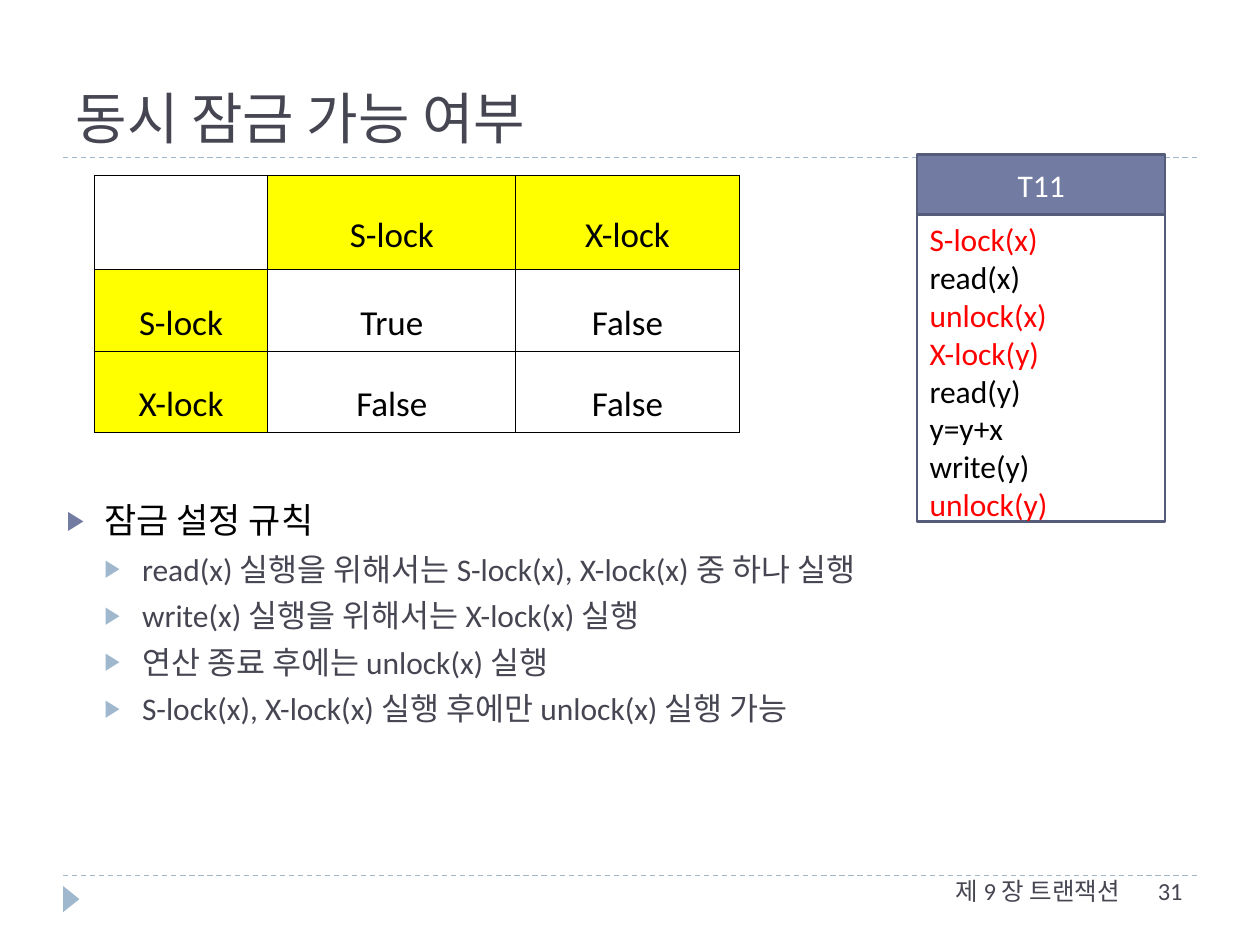
from lxml import etree
from pptx import Presentation
from pptx.dml.color import RGBColor
from pptx.enum import dml, shapes, text
from pptx.oxml import ns
from pptx.util import Cm, Pt

INK = RGBColor(0x46, 0x46, 0x53)
BLACK = RGBColor(0, 0, 0)
WHITE = RGBColor(0xFF, 0xFF, 0xFF)
RED = RGBColor(0xFF, 0, 0)
YELLOW = RGBColor(0xFF, 0xFF, 0)
INDIGO = RGBColor(0x72, 0x7C, 0xA3)
DARK_INDIGO = RGBColor(0x54, 0x5C, 0x79)
PALE_BLUE = RGBColor(0x9F, 0xB8, 0xCD)
LEFT, CENTER, RIGHT = text.PP_ALIGN.LEFT, text.PP_ALIGN.CENTER, text.PP_ALIGN.RIGHT


def write(frame, content, size=18, color=BLACK, font="Calibri", align=LEFT, first=True):
    """Fill the first paragraph of the frame, or append one, and return it."""
    paragraph = frame.paragraphs[0] if first else frame.add_paragraph()
    paragraph.alignment = align
    run = paragraph.add_run()
    run.text = content
    run.font.size = Pt(size)
    run.font.name = font
    run.font.color.rgb = color
    return paragraph


def add_xml(parent, tag, **attributes):
    return etree.SubElement(parent, ns.qn(tag), attributes)


presentation = Presentation()
presentation.slide_width = Cm(25.4)
presentation.slide_height = Cm(19.05)
slide = presentation.slides.add_slide(presentation.slide_layouts[1])

# Rules and page marker
for y in (17.65, 3.18):
    rule = slide.shapes.add_connector(
        shapes.MSO_CONNECTOR.STRAIGHT, Cm(1.27), Cm(y), Cm(24.13), Cm(y))
    rule.line.color.rgb = PALE_BLUE
    rule.line.width = Pt(0.75)
    rule.line.dash_style = dml.MSO_LINE.DASH
    add_xml(rule._element.spPr, "a:effectLst")

marker = slide.shapes.add_shape(
    shapes.MSO_SHAPE.ISOSCELES_TRIANGLE, Cm(1.17), Cm(17.96), Cm(0.53), Cm(0.33))
marker.rotation = 90
marker.shadow.inherit = False
marker.fill.solid()
marker.fill.fore_color.rgb = PALE_BLUE
marker.line.fill.background()

# Title
title = slide.shapes.title
title.left, title.top, title.width, title.height = Cm(1.27), Cm(0.43), Cm(22.86), Cm(2.74)
title.text_frame.vertical_anchor = text.MSO_ANCHOR.BOTTOM
title.text_frame.auto_size = text.MSO_AUTO_SIZE.NONE
write(title.text_frame, "동시 잠금 가능 여부", size=32, color=INK, font="Roboto Slab")

# Lock compatibility table
lock_rows = [
    ["", "S-lock", "X-lock"],
    ["S-lock", "True", "False"],
    ["X-lock", "False", "False"],
]
table = slide.shapes.add_table(3, 3, Cm(1.9), Cm(3.53), Cm(13), Cm(5.17)).table
table.first_row = table.horz_banding = False
for column, width in zip(table.columns, (3.5, 5, 4.5)):
    column.width = Cm(width)
for row, height in zip(table.rows, (1.91, 1.63, 1.63)):
    row.height = Cm(height)
for i, values in enumerate(lock_rows):
    for j, value in enumerate(values):
        cell = table.cell(i, j)
        cell.vertical_anchor = text.MSO_ANCHOR.MIDDLE
        if value:
            write(cell.text_frame, value, size=20, align=CENTER).line_spacing = 1.6
        properties = cell._tc.get_or_add_tcPr()
        for side in ("a:lnL", "a:lnR", "a:lnT", "a:lnB"):
            border = add_xml(properties, side, w=str(Pt(0.56)))
            add_xml(add_xml(border, "a:solidFill"), "a:srgbClr", val=str(BLACK))
        if value and (i == 0 or j == 0):
            cell.fill.solid()
            cell.fill.fore_color.rgb = YELLOW
        else:
            cell.fill.background()

# Locking rules
body = slide.placeholders[1]
body.left, body.top, body.width, body.height = Cm(1.09), Cm(9.93), Cm(22.86), Cm(7.98)
body.text_frame.auto_size = text.MSO_AUTO_SIZE.NONE
rules = [
    "잠금 설정 규칙",
    "read(x) 실행을 위해서는 S-lock(x), X-lock(x) 중 하나 실행",
    "write(x) 실행을 위해서는 X-lock(x) 실행",
    "연산 종료 후에는 unlock(x) 실행",
    "S-lock(x), X-lock(x) 실행 후에만 unlock(x) 실행 가능",
]
for i, content in enumerate(rules):
    level = min(i, 1)
    paragraph = write(body.text_frame, content, size=(20, 18)[level],
                      color=(BLACK, INK)[level], first=i == 0)
    paragraph.level = level
    properties = paragraph._p.get_or_add_pPr()
    properties.set("marL", str(Cm(0.76 * (level + 1))))
    properties.set("indent", str(-Cm(0.76)))
    bullet_color = (INDIGO, PALE_BLUE)[level]
    add_xml(add_xml(properties, "a:buClr"), "a:srgbClr", val=str(bullet_color))
    add_xml(properties, "a:buSzPct", val="76000")
    add_xml(properties, "a:buChar", char="▶")
    paragraph.space_before = Pt(5 if level else 6)

# Transaction T11
steps = ["S-lock(x)", "read(x)", "unlock(x)", "X-lock(y)",
         "read(y)", "y=y+x", "write(y)", "unlock(y)"]
panels = [
    (3.12, 1.2, INDIGO, text.MSO_ANCHOR.MIDDLE, CENTER, ["T11"]),
    (4.32, 6.2, WHITE, text.MSO_ANCHOR.TOP, LEFT, steps),
]
for top, height, fill, anchor, align, lines in panels:
    panel = slide.shapes.add_shape(
        shapes.MSO_SHAPE.RECTANGLE, Cm(18.49), Cm(top), Cm(5), Cm(height))
    panel.shadow.inherit = False
    panel.fill.solid()
    panel.fill.fore_color.rgb = fill
    panel.line.color.rgb = DARK_INDIGO
    panel.line.width = Pt(1.5)
    panel.text_frame.vertical_anchor = anchor
    for i, line in enumerate(lines):
        color = WHITE if fill == INDIGO else RED if "lock" in line else BLACK
        write(panel.text_frame, line, color=color, align=align, first=i == 0)

# Footer
for left, width, content, align in (
        (13.18, 9.65, "제 9 장 트랜잭션", RIGHT), (23.09, 1.8, "31", LEFT)):
    footer = slide.shapes.add_textbox(Cm(left), Cm(17.53), Cm(width), Cm(1.02))
    footer.text_frame.word_wrap = True
    write(footer.text_frame, content, size=14, color=INK, align=align)

presentation.save("out.pptx")
